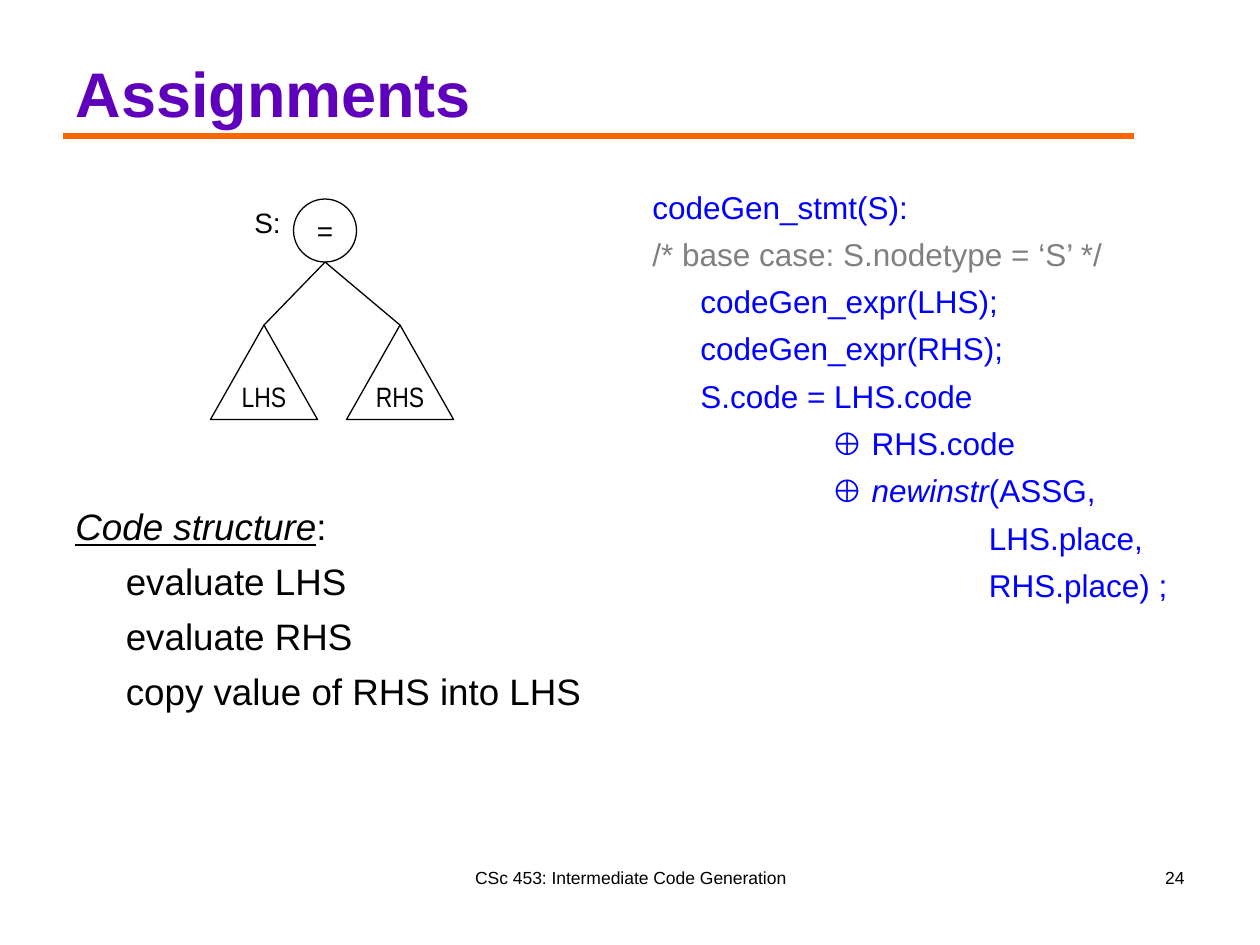
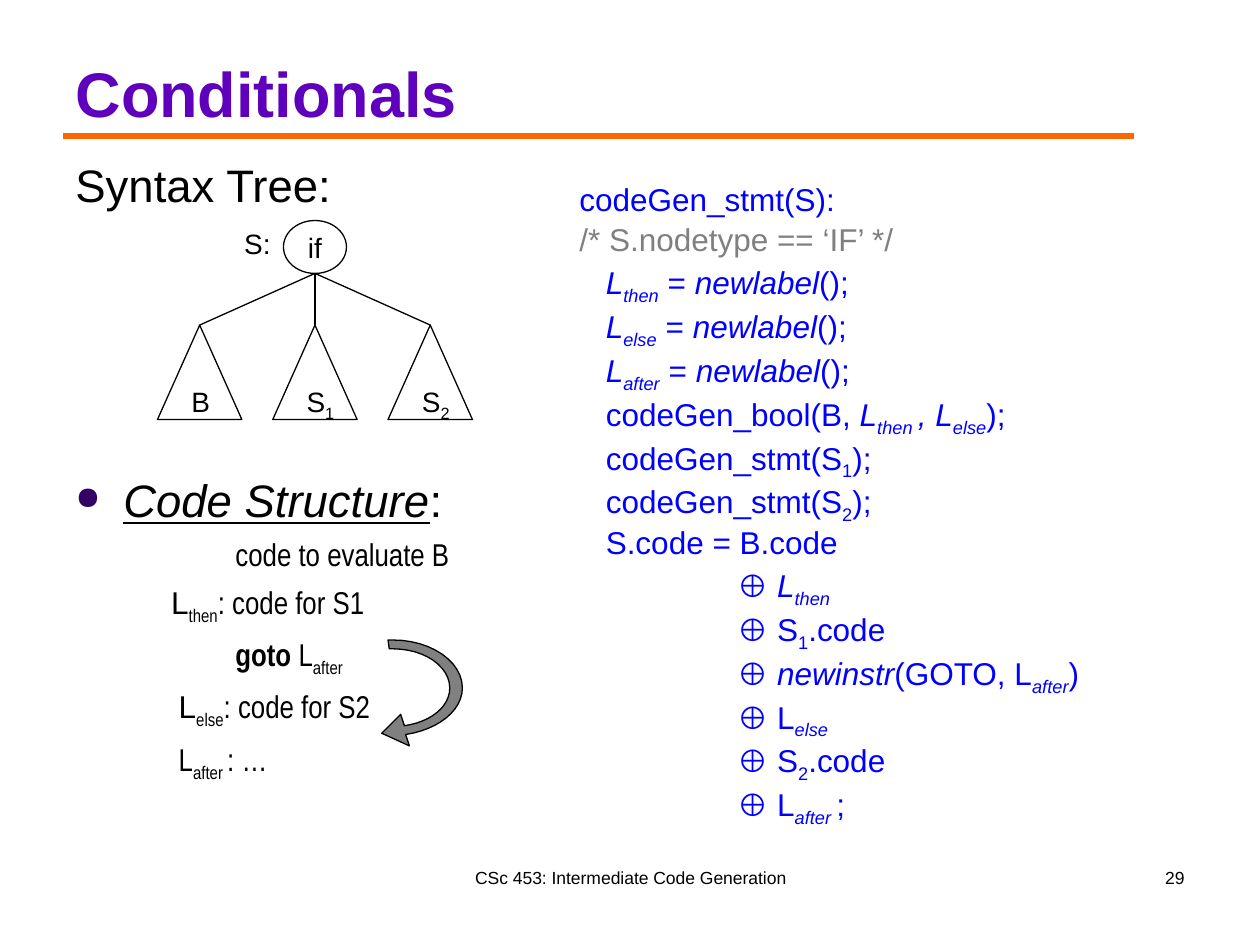
import pptx
import pptx.dml.color
import pptx.enum.shapes
import pptx.enum.text
import pptx.oxml.ns
import pptx.util
from lxml import etree

Inches, Pt = pptx.util.Inches, pptx.util.Pt
SHAPE = pptx.enum.shapes.MSO_SHAPE
ALIGN = pptx.enum.text.PP_ALIGN
ANCHOR = pptx.enum.text.MSO_ANCHOR

COLORS = {"title": "5E00BC", "rule": "FF6600", "code": "0000FF", "comment": "808080",
          "text": "000000", "bullet": "330066", "arrow": "808080"}
FOOTER = "CSc 453: Intermediate Code Generation"

# A line is (indent in inches, spans); a span is plain text or (text, flags).
# Flags: b bold, i italic, u underlined, s subscript, c comment, w regular-width font.
SUM_INDENT = 1.25

ASSIGN_STRUCTURE = [
    (0, [("Code structure", "iu"), ":"]),
    (0.4, ["evaluate LHS"]),
    (0.4, ["evaluate RHS"]),
    (0.4, ["copy value of RHS into LHS"]),
]
ASSIGN_CODE = [
    (0, ["codeGen_stmt(S):"]),
    (0, [("/* base case: S.nodetype = ‘S’ */", "c")]),
    (0.38, ["codeGen_expr(LHS);"]),
    (0.38, ["codeGen_expr(RHS);"]),
    (0.38, ["S.code = LHS.code"]),
    (1.42, ["⊕ RHS.code"]),
    (1.42, ["⊕ ", ("newinstr", "i"), "(ASSG,"]),
    (2.67, ["LHS.place,"]),
    (2.67, ["RHS.place) ;"]),
]
IF_HEADING = [(0.38, [("Code Structure", "iu"), ":"])]
IF_STRUCTURE = [
    (1.27, ["code to evaluate B"]),
    (0.76, [("L", "w"), ("then", "s"), ": code for S1"]),
    (1.27, [("goto", "b"), " L", ("after", "s")]),
    (0.82, [("L", "w"), ("else", "s"), ": code for S2"]),
    (0.82, ["L", ("after ", "s"), ": …"]),
]
NEW_LABELS = [(0.21, [("L", "i"), (name, "is"), " = ", ("newlabel", "i"), "();"])
              for name in ("then", "else", "after")]
IF_CODE = [
    (0, ["codeGen_stmt(S):"]),
    (0, [("/* S.nodetype == ‘IF’ */", "c")]),
    *NEW_LABELS,
    (0.21, ["codeGen_bool(B, ", ("L", "i"), ("then ", "is"), (", L", "i"), ("else", "is"), ");"]),
    (0.21, ["codeGen_stmt(S", ("1", "s"), ");"]),
    (0.21, ["codeGen_stmt(S", ("2", "s"), ");"]),
    (0.21, ["S.code = B.code"]),
    (SUM_INDENT, ["⊕ ", ("L", "i"), ("then", "is")]),
    (SUM_INDENT, ["⊕ S", ("1", "s"), ".code"]),
    (SUM_INDENT, ["⊕ ", ("newinstr", "i"), "(GOTO, L", ("after", "is"), ")"]),
    (SUM_INDENT, ["⊕ L", ("else", "is")]),
    (SUM_INDENT, ["⊕ S", ("2", "s"), ".code"]),
    (SUM_INDENT, ["⊕ L", ("after ", "is"), ";"]),
]
ASSIGN_TREE = {"root": "=", "root_at": (2.33, 1.58, 0.5, 0.5), "name_left": 1.92,
               "first": 1.67, "step": 1.08, "width": 0.85, "leaves": ["LHS", "RHS"]}
IF_TREE = {"root": "if", "root_at": (2.25, 1.75, 0.5, 0.42), "name_left": 1.84,
           "first": 1.25, "step": 0.915, "width": 0.67, "leaves": [None] * 3}
LEAF_TOP, LEAF_HEIGHT = 2.58, 0.75
IF_LEAF_LABELS = [["B"], ["S", ("1", "s")], ["S", ("2", "s")]]

# Two-number entries are straight segments, six-number entries are Bezier curves.
GOTO_ARROW = [
    (3.21, 5.76), (3.42, 5.73, 3.57, 5.61, 3.57, 5.46), (3.57, 5.29, 3.37, 5.15, 3.12, 5.15),
    (3.09, 5.15), (3.08, 5.08), (3.12, 5.08), (3.42, 5.08, 3.67, 5.25, 3.67, 5.46),
    (3.67, 5.64, 3.48, 5.79, 3.22, 5.83), (3.25, 5.92), (3.03, 5.82), (3.18, 5.67),
]


def rgb(name):
    return pptx.dml.color.RGBColor.from_string(COLORS[name])


def add_spans(para, spans, size, color="text", font="Arial"):
    for item in spans:
        text, flags = (item, "") if isinstance(item, str) else item
        span = para.add_run()
        span.text = text
        span.font.name = "Arial" if "w" in flags else font
        span.font.size = Pt(size)
        span.font.color.rgb = rgb("comment" if "c" in flags else color)
        span.font.bold = "b" in flags
        span.font.italic = "i" in flags
        span.font.underline = "u" in flags
        if "s" in flags:
            span.font._element.set("baseline", "-25000")


def add_lines(frame, lines, size, before=0.0, spacing=None, align=None, **style):
    for number, (indent, spans) in enumerate(lines):
        para = frame.paragraphs[0] if number == 0 else frame.add_paragraph()
        para._p.get_or_add_pPr().set("marL", str(Inches(indent)))
        if number:
            para.space_before = Pt(before)
        if spacing:
            para.line_spacing = spacing
        if align is not None:
            para.alignment = align
        add_spans(para, spans, size, **style)


def add_text(page, at, lines, size, **style):
    box = page.shapes.add_textbox(*map(Inches, at))
    box.text_frame.word_wrap = True
    add_lines(box.text_frame, lines, size, **style)
    return box


def add_bullet(para):
    properties = para._p.get_or_add_pPr()
    properties.set("indent", str(Inches(-0.38)))
    tag = pptx.oxml.ns.qn
    color = etree.SubElement(properties, tag("a:buClr"))
    etree.SubElement(color, tag("a:srgbClr"), val=COLORS["bullet"])
    etree.SubElement(properties, tag("a:buSzPct"), val="70000")
    etree.SubElement(properties, tag("a:buChar"), char="●")


def add_line(page, start, end, color="text", width=0.75):
    line = page.shapes.add_connector(pptx.enum.shapes.MSO_CONNECTOR.STRAIGHT,
                                     *map(Inches, start + end))
    line.line.color.rgb = rgb(color)
    line.line.width = Pt(width)
    etree.SubElement(line._element.spPr, pptx.oxml.ns.qn("a:effectLst"))


def outline(shape, fill=None):
    shape.shadow.inherit = False
    shape.line.color.rgb = rgb("text")
    shape.line.width = Pt(0.75)
    if fill:
        shape.fill.solid()
        shape.fill.fore_color.rgb = rgb(fill)
    else:
        shape.fill.background()


def add_node(page, kind, at, label, font="Arial"):
    node = page.shapes.add_shape(kind, *map(Inches, at))
    outline(node)
    if label:
        frame = node.text_frame
        frame.word_wrap = False
        frame.vertical_anchor = ANCHOR.MIDDLE
        add_lines(frame, [(0, [label])], 16, align=ALIGN.CENTER, font=font)


def leaf_left(tree, number):
    return tree["first"] + number * tree["step"]


def add_tree(page, tree):
    left, top, width, height = tree["root_at"]
    add_node(page, SHAPE.OVAL, tree["root_at"], tree["root"])
    add_text(page, (tree["name_left"], top, 0.6, 0.37), [(0, ["S:"])], 16)
    for number, label in enumerate(tree["leaves"]):
        leaf = leaf_left(tree, number)
        add_node(page, SHAPE.ISOSCELES_TRIANGLE,
                 (leaf, LEAF_TOP, tree["width"], LEAF_HEIGHT), label, "Arial Narrow")
        add_line(page, (left + width / 2, top + height), (leaf + tree["width"] / 2, LEAF_TOP))


def trace(outline_parts, steps=12):
    """Turn segments and Bezier curves into a list of points."""
    points = [outline_parts[0]]
    for part in outline_parts[1:]:
        if len(part) == 2:
            points.append(part)
            continue
        corners = [points[-1], part[:2], part[2:4], part[4:]]
        for step in range(1, steps + 1):
            t = step / steps
            weights = ((1 - t) ** 3, 3 * t * (1 - t) ** 2, 3 * t * t * (1 - t), t ** 3)
            points.append(tuple(sum(w * corner[axis] for w, corner in zip(weights, corners))
                                for axis in (0, 1)))
    return points


def add_goto_arrow(page):
    points = [(Inches(x), Inches(y)) for x, y in trace(GOTO_ARROW)]
    builder = page.shapes.build_freeform(*points[0])
    builder.add_line_segments(points[1:], close=True)
    outline(builder.convert_to_shape(), "arrow")


def add_page(deck, title, number):
    page = deck.slides.add_slide(deck.slide_layouts[5])
    add_line(page, (0.5, 1.08), (9, 1.08), "rule", 3.75)
    heading = page.shapes.title
    heading.left, heading.top, heading.width, heading.height = map(Inches, (0.5, 0.13, 9, 0.95))
    heading.text_frame.vertical_anchor = ANCHOR.BOTTOM
    add_lines(heading.text_frame, [(0, [(title, "b")])], 36, align=ALIGN.LEFT, color="title")
    add_text(page, (3.42, 6.83, 3.17, 0.5), [(0, [FOOTER])], 10, align=ALIGN.CENTER)
    add_text(page, (7.17, 6.83, 2.33, 0.5), [(0, [str(number)])], 10, align=ALIGN.RIGHT)
    return page


def add_assignments(deck):
    page = add_page(deck, "Assignments", 24)
    add_text(page, (0.5, 3.95, 4.42, 2.56), ASSIGN_STRUCTURE, 21, before=6.3)
    add_text(page, (5.08, 1.44, 4.42, 5.29), ASSIGN_CODE, 18, before=5.4, color="code")
    add_tree(page, ASSIGN_TREE)


def add_conditionals(deck):
    page = add_page(deck, "Conditionals", 29)
    heading = add_text(page, (0.5, 3.7, 3.92, 0.54), IF_HEADING, 26)
    add_bullet(heading.text_frame.paragraphs[0])
    add_text(page, (0.5, 4.2, 3.92, 2.5), IF_STRUCTURE, 18, before=5.4, font="Arial Narrow")
    add_text(page, (4.5, 1.44, 5, 5.29), IF_CODE, 18, before=5.4, spacing=0.8, color="code")
    add_goto_arrow(page)
    add_text(page, (0.5, 1.2, 2.25, 0.54), [(0, ["Syntax Tree:"])], 26)
    add_tree(page, IF_TREE)
    for number, label in enumerate(IF_LEAF_LABELS):
        add_text(page, (leaf_left(IF_TREE, number) + 0.17, 3, 0.6, 0.4), [(0, label)], 16)


def main():
    deck = pptx.Presentation()
    deck.slide_width, deck.slide_height = Inches(10), Inches(7.5)
    add_assignments(deck)
    add_conditionals(deck)
    deck.save("out.pptx")


if __name__ == "__main__":
    main()
